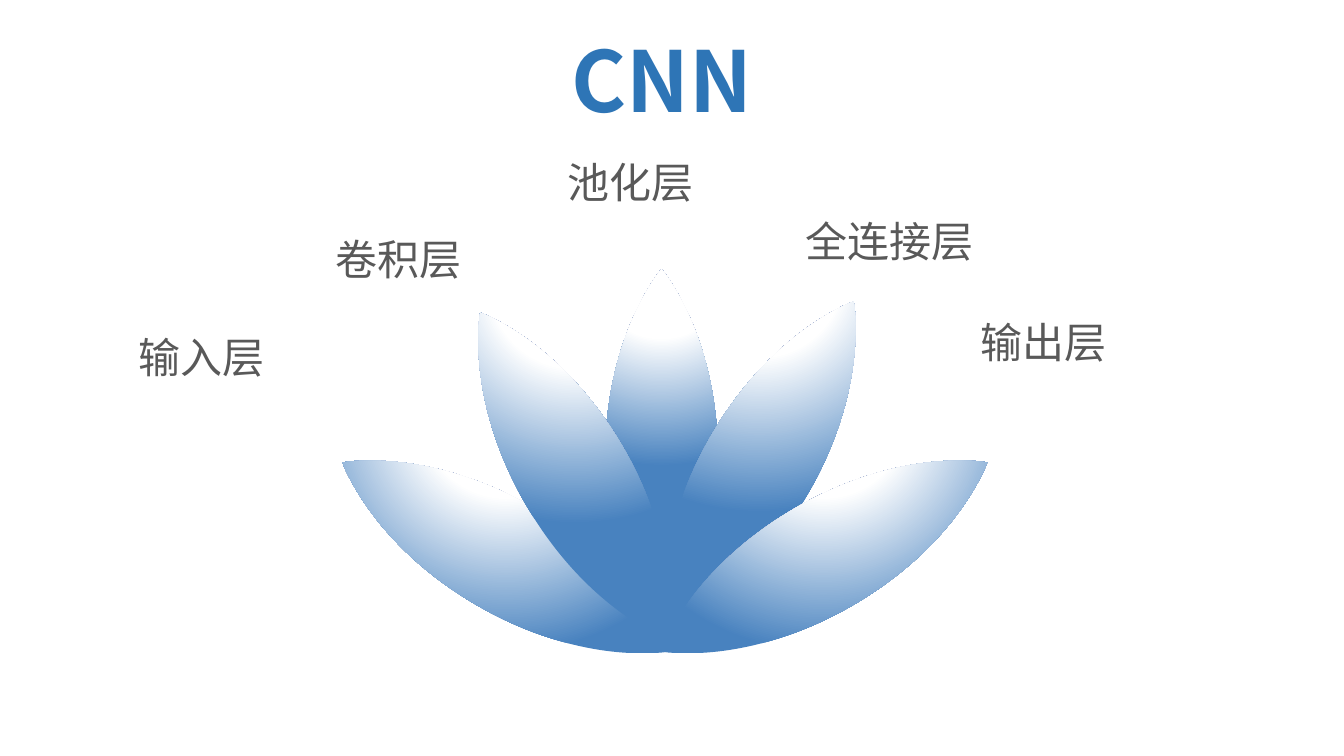
from lxml import etree
from pptx import Presentation
from pptx.dml.color import RGBColor
from pptx.enum.text import MSO_AUTO_SIZE
from pptx.oxml.ns import qn
from pptx.util import Pt

GROW = MSO_AUTO_SIZE.SHAPE_TO_FIT_TEXT
FONT = "Noto Sans CJK SC"
COLORS = {"title": "2E75B6", "label": "595959", "light": "FFFFFF", "petal": "4882BF"}

PETAL_WIDTH, PETAL_HEIGHT = 80.64, 270
MIDDLE, HALF = PETAL_WIDTH / 2, PETAL_HEIGHT / 2

# Left, top, rotation, from back to front
PETALS = [
    (432.2, 192.2, 0),
    (502, 197.2, 30),
    (548, 262.8, 60),
    (321.2, 262.8, 300),
    (370.2, 205.2, 330),
]
# Text, left, top, width
LABELS = [
    ("输入层", 91.8, 233.3, 167.8),
    ("卷积层", 232.6, 163.4, 144),
    ("池化层", 398.2, 108, 163.4),
    ("全连接层", 568.1, 150.2, 162.7),
    ("输出层", 693.4, 222.5, 167.8),
]


def petal_geometry():
    """Return the corner points, and the curve handles by segment number."""
    shoulder, side = (MIDDLE + 3.6, 4.6), (PETAL_WIDTH, HALF)
    handles = [(MIDDLE + 26.6, 38), (PETAL_WIDTH, 84.2)]

    def flip(points):
        return [(x, PETAL_HEIGHT - y) for x, y in points]

    def turn(points):
        return [(PETAL_WIDTH - x, PETAL_HEIGHT - y) for x, y in points]

    right = [(MIDDLE, 0), shoulder, side] + flip([shoulder])
    curves = {1: handles, 2: flip(handles[::-1])}
    curves.update({number + 4: turn(points) for number, points in list(curves.items())})
    return right + turn(right), curves


def bend_segments(shape, curves):
    """Turn the numbered straight segments into cubic curves."""
    lines = list(shape._element.iter(qn("a:lnTo")))
    for number, handles in curves.items():
        line = lines[number]
        curve = etree.Element(qn("a:cubicBezTo"))
        for x, y in handles:
            etree.SubElement(curve, qn("a:pt"), x=str(Pt(x)), y=str(Pt(y)))
        curve.append(line[0])
        line.getparent().replace(line, curve)


def fill_radial(shape):
    """Fill with a circular gradient centred above the shape."""
    shape.fill.gradient()
    gradient = shape.fill._xPr.find(qn("a:gradFill"))
    for child in list(gradient):
        gradient.remove(child)
    stops = etree.SubElement(gradient, qn("a:gsLst"))
    for position, color in ((0, "light"), (35, "light"), (100, "petal")):
        stop = etree.SubElement(stops, qn("a:gs"), pos=str(position * 1000))
        etree.SubElement(stop, qn("a:srgbClr"), val=COLORS[color])
    circle = etree.SubElement(gradient, qn("a:path"), path="circle")
    etree.SubElement(circle, qn("a:fillToRect"),
                     l="50000", t="-80000", r="50000", b="180000")


def add_petal(page, left, top, rotation):
    corners, curves = petal_geometry()
    outline = [(Pt(x), Pt(y)) for x, y in corners]
    builder = page.shapes.build_freeform(*outline[0])
    builder.add_line_segments(outline[1:], close=True)
    petal = builder.convert_to_shape(Pt(left), Pt(top))
    bend_segments(petal, curves)
    petal.rotation = rotation
    petal.shadow.inherit = False
    petal.line.fill.background()
    fill_radial(petal)


def add_text(page, text, box, size, color, bold=False, wrap=True):
    frame = page.shapes.add_textbox(*(Pt(length) for length in box)).text_frame
    frame.word_wrap = wrap
    frame.auto_size = GROW
    frame.text = text
    span = frame.paragraphs[0].runs[0]
    span.font.name = FONT
    span.font.size = Pt(size)
    span.font.bold = bold
    span.font.color.rgb = RGBColor.from_string(COLORS[color])
    etree.SubElement(span.font._element, qn("a:ea"), typeface=FONT)


def build_cnn_page(page):
    # Lotus
    for petal in PETALS:
        add_petal(page, *petal)
    # Layer names
    for text, left, top, width in LABELS:
        add_text(page, text, (left, top, width, 43.9), 30, "label")
    # Title
    add_text(page, "CNN", (401, 16.6, 158.4, 79.9), 60, "title", bold=True, wrap=False)


def main():
    deck = Presentation()
    deck.slide_width, deck.slide_height = Pt(960), Pt(540)
    build_cnn_page(deck.slides.add_slide(deck.slide_layouts[6]))
    deck.save("out.pptx")


if __name__ == "__main__":
    main()
